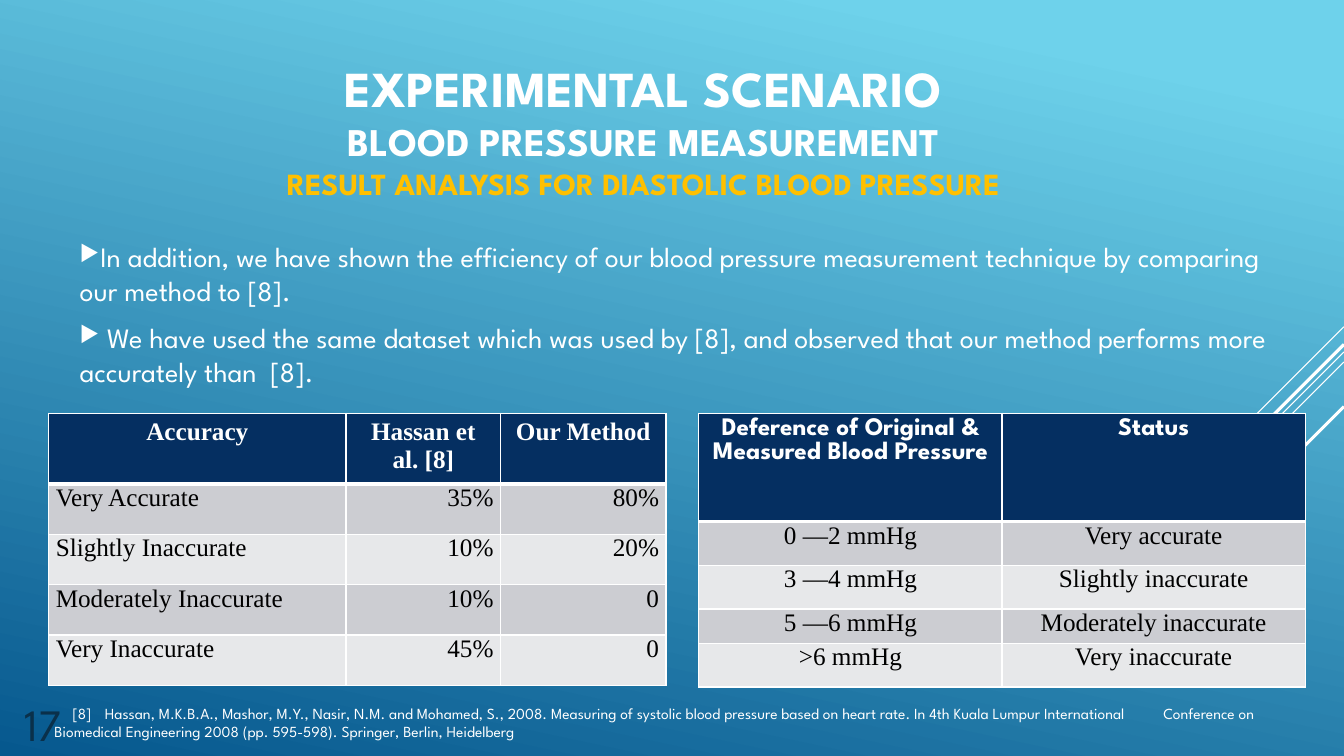
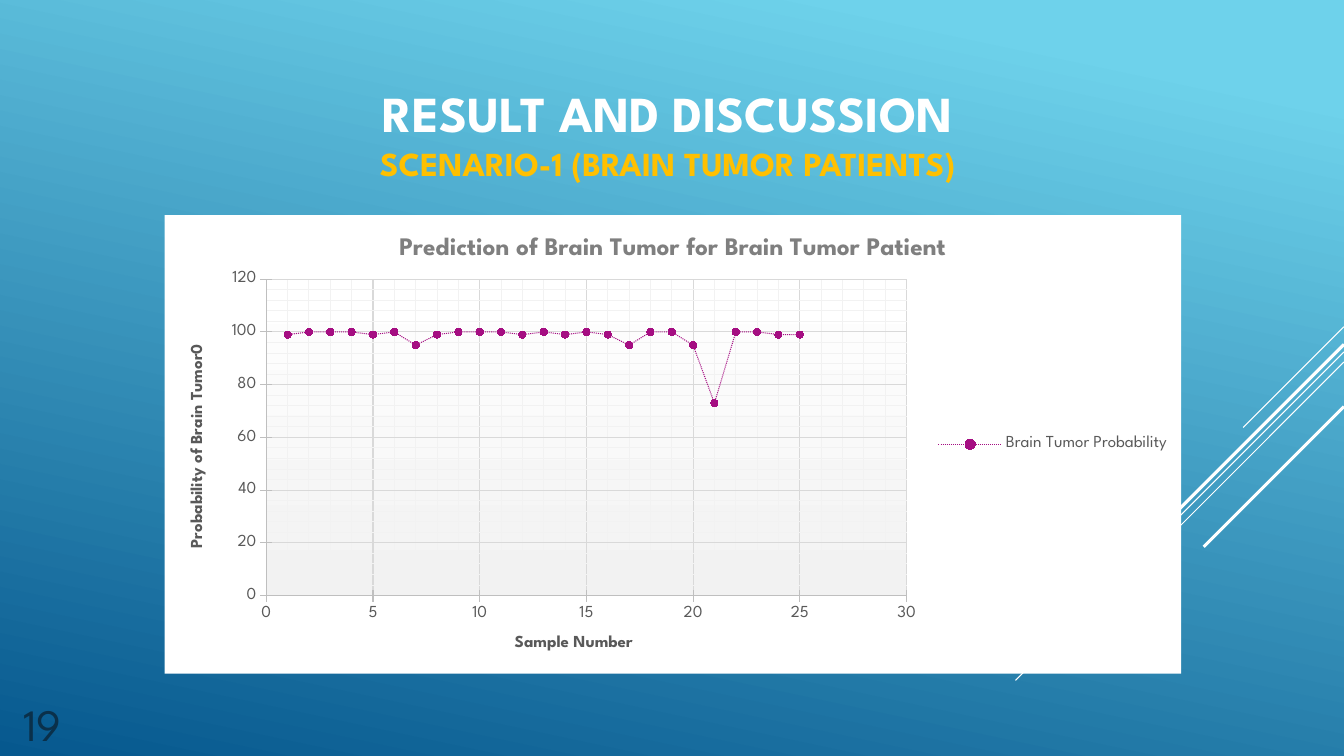
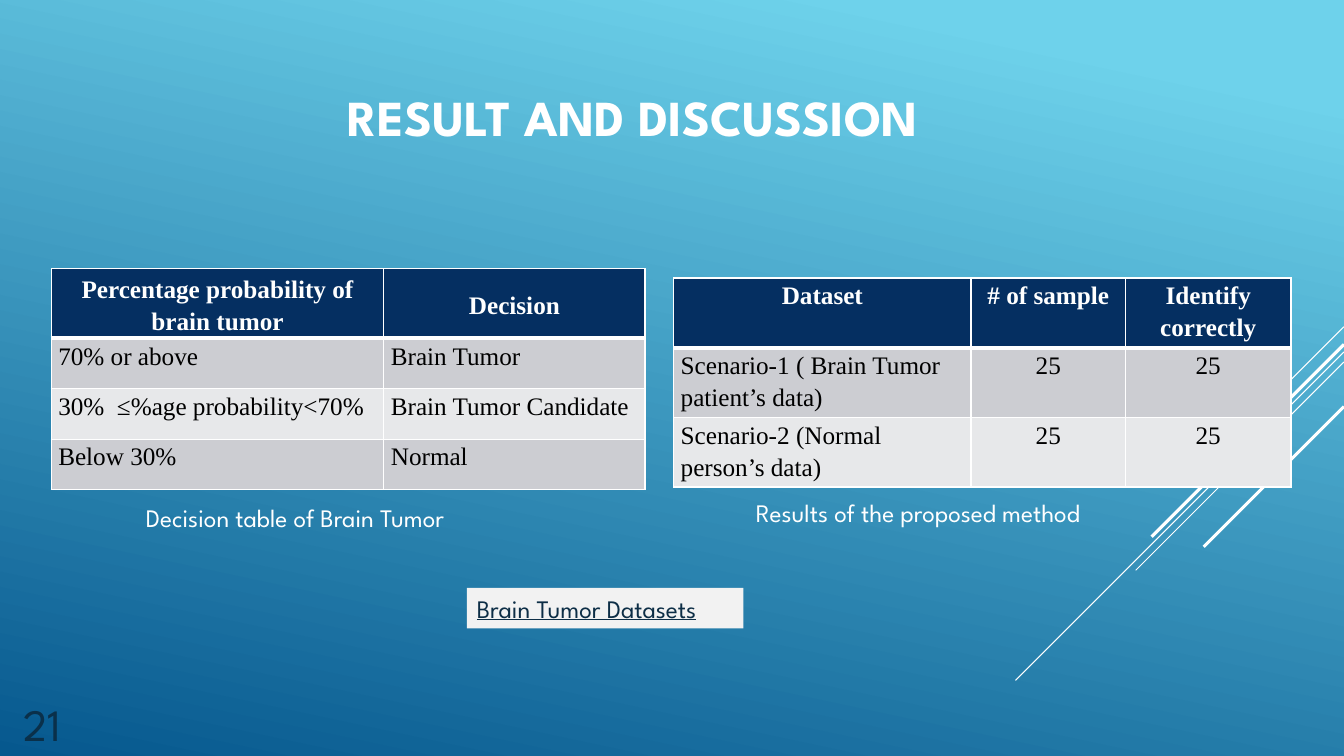
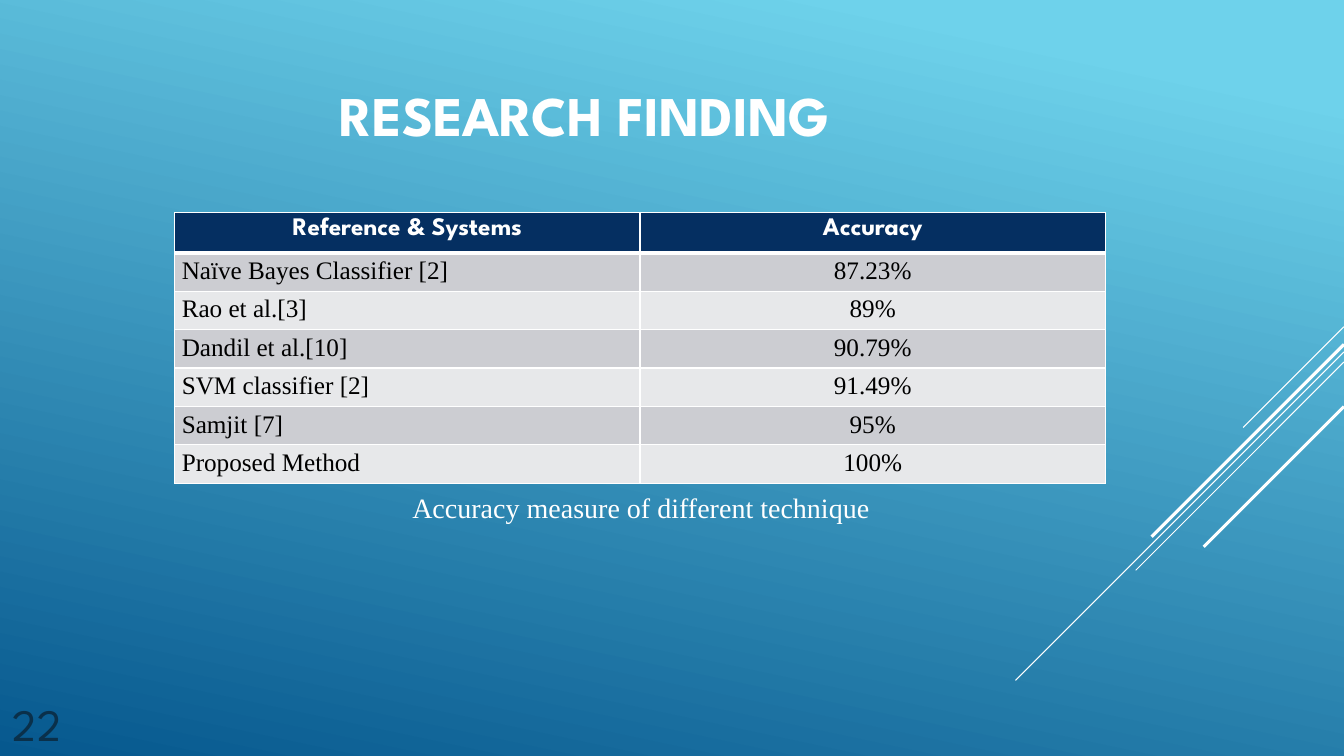
from dataclasses import dataclass, replace
from typing import NamedTuple

from pptx import Presentation
from pptx import util as u
from pptx.chart import data as cd
from pptx.dml.color import RGBColor
from pptx.enum import chart as ce, dml, shapes, text
from pptx.oxml import parse_xml
from pptx.oxml.ns import nsdecls, qn

WIDE, HIGH = u.Inches(13.333), u.Inches(7.5)
COLS, ROWS = 160, 90

WHITE = RGBColor(0xFF, 0xFF, 0xFF)
BLACK = RGBColor(0, 0, 0)
SKY = RGBColor(0x6E, 0xD2, 0xEB)
DEEP = RGBColor(0x06, 0x58, 0x8E)
NAVY = RGBColor(0x05, 0x2F, 0x61)
GOLD = RGBColor(0xFF, 0xC0, 0x00)
INK = RGBColor(0x0A, 0x30, 0x4A)
LINK = RGBColor(0x0D, 0x2E, 0x46)
PALE = RGBColor(0xF2, 0xF2, 0xF2)
BANDS = (RGBColor(0xCC, 0xCD, 0xD2), RGBColor(0xE7, 0xE8, 0xEA))
PLUM = RGBColor(0xA5, 0x0E, 0x82)
GREY = RGBColor(0x59, 0x59, 0x59)
MID = RGBColor(0x7F, 0x7F, 0x7F)
GRID = RGBColor(0xD9, 0xD9, 0xD9)
AXIS = RGBColor(0xBF, 0xBF, 0xBF)

SANS, SERIF = "League Spartan", "Times New Roman"
ALIGN = {"l": text.PP_ALIGN.LEFT, "c": text.PP_ALIGN.CENTER, "r": text.PP_ALIGN.RIGHT}
TOP, MIDDLE, LOW = text.MSO_ANCHOR.TOP, text.MSO_ANCHOR.MIDDLE, text.MSO_ANCHOR.BOTTOM


class Box(NamedTuple):
    x: float
    y: float
    w: float
    h: float


class Ray(NamedTuple):
    y: float
    run: float
    pt: float


class Line(NamedTuple):
    words: str
    size: int
    color: RGBColor = WHITE


@dataclass(frozen=True)
class Style:
    size: int = 18
    color: RGBColor = WHITE
    font: str = SANS
    bold: bool = False
    align: str = "l"
    space: float = 1.0


@dataclass(frozen=True)
class Grid:
    x: float
    y: float
    cols: tuple[float, ...]
    rows: tuple[float, ...]
    cells: tuple[tuple[str, ...], ...]
    align: str
    font: str = SERIF
    head: float = 1.0
    body: float = 1.0
    tight: bool = False
    anchor: text.MSO_ANCHOR = TOP


RAYS = (Ray(38.9, 12, 0.75), Ray(41.9, 39.1, 0.75), Ray(43.1, 24.8, 0.75),
        Ray(41, 22.9, 2.25), Ray(48.4, 16.7, 2.25))
CELL = Style(color=BLACK, font=SERIF)

METHOD = Grid(5.8, 49.2, (35.4, 18.4, 19.7), (7.8, 6, 6, 6, 6), (
    ("Accuracy", "Hassan et al. [8]", "Our Method"),
    ("Very Accurate", "35%", "80%"),
    ("Slightly Inaccurate", "10%", "20%"),
    ("Moderately Inaccurate", "10%", "0"),
    ("Very Inaccurate", "45%", "0")), "lrr")
STATUS = Grid(83.2, 49.2, (36.1, 36.1), (12.9, 5.2, 5.2, 4.1, 5.2), (
    ("Deference of Original & Measured Blood Pressure", "Status"),
    ("0 —2 mmHg", "Very accurate"),
    ("3 —4 mmHg", "Slightly inaccurate"),
    ("5 —6 mmHg", "Moderately inaccurate"),
    (">6 mmHg", "Very inaccurate")), "cc", SANS)
CHOICE = Grid(6.1, 32, (39.6, 31.1), (7.6, 6, 6, 6), (
    ("Percentage probability of\nbrain tumor", "Decision"),
    ("70% or above", "Brain Tumor"),
    ("30%  ≤%age probability<70%", "Brain Tumor Candidate"),
    ("Below 30%", "Normal")), "ll", head=1.15, body=1.15, tight=True, anchor=MIDDLE)
SCORE = Grid(80.2, 33.1, METHOD.cols, (8.3,) * 3, (
    ("Dataset", "# of sample", "Identify correctly"),
    ("Scenario-1 ( Brain Tumor patient’s data)", "25", "25"),
    ("Scenario-2 (Normal person’s data)", "25", "25")),
    "lcc", head=1.15, body=1.15, tight=True)
RIVALS = Grid(20.8, 25.3, (55.4, 55.4), (4.57,) * 7, (
    ("Reference & Systems", "Accuracy"),
    ("Naïve Bayes Classifier [2]", "87.23%"),
    ("Rao et al.[3]", "89%"),
    ("Dandil et al.[10]", "90.79%"),
    ("SVM classifier [2]", "91.49%"),
    ("Samjit [7]", "95%"),
    ("Proposed Method", "100%")), "lc", SANS, body=1.15)

ODDS = (99, 100, 100, 100, 99, 100, 95, 99, 100, 100, 100, 99, 100,
        99, 100, 99, 95, 100, 100, 95, 73, 100, 100, 99, 99)


def across(n: float) -> int:
    return round(WIDE * n / COLS)


def down(n: float) -> int:
    return round(HIGH * n / ROWS)


def place(box: Box) -> tuple[int, int, int, int]:
    return across(box.x), down(box.y), across(box.w), down(box.h)


def ink(font, style: Style) -> None:
    font.name, font.size, font.bold = style.font, u.Pt(style.size), style.bold
    font.color.rgb = style.color


def dress(frame, style: Style) -> None:
    for para in frame.paragraphs:
        para.alignment = ALIGN[style.align]
        para.line_spacing = style.space
        for run in para.runs:
            ink(run.font, style)


def write(slide, box: Box, words: str, style: Style, anchor=TOP):
    frame = slide.shapes.add_textbox(*place(box)).text_frame
    frame.word_wrap = True
    frame.vertical_anchor = anchor
    frame.text = words
    dress(frame, style)
    return frame


def title(slide, box: Box, *lines: Line):
    words = "\v".join(line.words for line in lines)
    frame = write(slide, box, "", Style(), MIDDLE)
    para = frame.paragraphs[0]
    para.text = words
    para.alignment = ALIGN["c"]
    for run, line in zip(para.runs, lines):
        ink(run.font, Style(line.size, line.color, bold=True))
    return frame


def start(deck, page: str):
    slide = deck.slides.add_slide(deck.slide_layouts[6])
    for ray in RAYS:
        line = slide.shapes.add_connector(
            shapes.MSO_CONNECTOR.STRAIGHT, across(COLS), down(ray.y),
            across(COLS - ray.run), down(ray.y + ray.run))
        line.line.color.rgb = WHITE
        line.line.width = u.Pt(ray.pt)
        line._element.spPr.append(parse_xml(f"<a:effectLst {nsdecls('a')}/>"))
    write(slide, Box(0, 82.7, 8.5, 7.2), page, Style(32, INK, align="r"), LOW)
    return slide


def edge(cell, row: int) -> None:
    props = cell._tc.get_or_add_tcPr()
    widths = {"L": 1, "R": 1, "T": 3 if row == 1 else 1, "B": 3 if row == 0 else 1}
    for at, (side, pt) in enumerate(widths.items()):
        props.insert(at, parse_xml(
            f'<a:ln{side} {nsdecls("a")} w="{u.Pt(pt)}"><a:solidFill>'
            f'<a:srgbClr val="{WHITE}"/></a:solidFill></a:ln{side}>'))


def table(slide, grid: Grid) -> None:
    box = Box(grid.x, grid.y, sum(grid.cols), sum(grid.rows))
    made = slide.shapes.add_table(len(grid.rows), len(grid.cols), *place(box)).table
    for col, wide in zip(made.columns, grid.cols):
        col.width = across(wide)
    head = Style(font=grid.font, bold=True, align="c", space=grid.head)
    for r, (high, words) in enumerate(zip(grid.rows, grid.cells)):
        made.rows[r].height = down(high)
        for c, word in enumerate(words):
            cell = made.cell(r, c)
            cell.text_frame.text = word
            cell.fill.solid()
            cell.fill.fore_color.rgb = BANDS[(r - 1) % 2] if r else NAVY
            if r or grid.tight:
                cell.margin_left = cell.margin_right = u.Inches(0.07)
                cell.margin_top = cell.margin_bottom = 0
            cell.vertical_anchor = TOP if r else grid.anchor
            dress(cell.text_frame,
                  replace(CELL, align=grid.align[c], space=grid.body) if r else head)
            edge(cell, r)


def scale(axis, name: str, top: int, major: int, minor: int) -> None:
    axis.minimum_scale, axis.maximum_scale = 0, top
    axis.major_unit, axis.minor_unit = major, minor
    axis.has_major_gridlines = axis.has_minor_gridlines = True
    axis.major_tick_mark = ce.XL_TICK_MARK.CROSS
    ink(axis.tick_labels.font, Style(12, GREY))
    for part, color in ((axis, AXIS), (axis.major_gridlines, GRID)):
        part.format.line.color.rgb = color
        part.format.line.width = u.Pt(0.75)
    axis._element.find(qn("c:minorGridlines")).append(parse_xml(
        f'<c:spPr {nsdecls("c", "a")}><a:ln w="{u.Pt(0.75)}"><a:solidFill>'
        f'<a:srgbClr val="{PALE}"/></a:solidFill></a:ln></c:spPr>'))
    axis.axis_title.text_frame.text = name
    dress(axis.axis_title.text_frame, Style(12, GREY, bold=True, align="c"))


def paint(chart) -> None:
    space = chart._chartSpace
    space.find(qn("c:txPr")).addprevious(parse_xml(
        f'<c:spPr {nsdecls("c", "a")}><a:solidFill><a:srgbClr val="{WHITE}"/>'
        '</a:solidFill><a:ln><a:noFill/></a:ln></c:spPr>'))
    plot = space.chart.plotArea
    plot.append(parse_xml(
        f'<c:spPr {nsdecls("c", "a")}><a:gradFill><a:gsLst>'
        f'<a:gs pos="0"><a:srgbClr val="{WHITE}"/></a:gs>'
        f'<a:gs pos="100000"><a:srgbClr val="{PALE}"/></a:gs></a:gsLst>'
        '<a:lin ang="5400000" scaled="0"/></a:gradFill></c:spPr>'))
    for old in plot.findall(qn("c:layout")):
        plot.remove(old)
    sides = "".join(f'<c:{key} val="{val}"/>' for key, val in (
        ("layoutTarget", "inner"), ("xMode", "edge"), ("yMode", "edge"),
        ("x", 0.1), ("y", 0.14), ("w", 0.63), ("h", 0.69)))
    plot.insert(0, parse_xml(
        f'<c:layout {nsdecls("c")}><c:manualLayout>{sides}</c:manualLayout></c:layout>'))


def graph(slide, box: Box) -> None:
    data = cd.XyChartData()
    dots = data.add_series("Brain Tumor Probability")
    for x, y in enumerate(ODDS, 1):
        dots.add_data_point(x, y)
    chart = slide.shapes.add_chart(
        ce.XL_CHART_TYPE.XY_SCATTER_LINES, *place(box), data).chart
    ink(chart.font, Style(10))
    chart.has_title = True
    chart.chart_title.text_frame.text = "Prediction of Brain Tumor for Brain Tumor Patient"
    dress(chart.chart_title.text_frame, Style(18, MID, bold=True, align="c"))
    chart.has_legend = True
    chart.legend.position = ce.XL_LEGEND_POSITION.RIGHT
    chart.legend.include_in_layout = False
    ink(chart.legend.font, Style(12, GREY))
    scale(chart.category_axis, "Sample Number", 30, 5, 1)
    scale(chart.value_axis, "Probability of Brain Tumor0", 120, 20, 4)
    chart.plots[0].vary_by_categories = False
    row = chart.plots[0].series[0]
    row.format.line.color.rgb = PLUM
    row.format.line.width = u.Pt(0.75)
    row.format.line.dash_style = dml.MSO_LINE.ROUND_DOT
    row.marker.style = ce.XL_MARKER_STYLE.CIRCLE
    row.marker.size = 5
    row.marker.format.fill.solid()
    row.marker.format.fill.fore_color.rgb = PLUM
    row.marker.format.line.color.rgb = PLUM
    paint(chart)


def bullets(slide, box: Box, *points: str) -> None:
    frame = write(slide, box, "\n".join(points), Style(20), MIDDLE)
    frame.margin_bottom = u.Inches(0.4)
    for at, para in enumerate(frame.paragraphs):
        para.space_before = u.Pt(4 if at else 0)
        para.space_after = u.Pt(6)
        props = para._p.get_or_add_pPr()
        props.set("marL", "0")
        props.set("indent", "0")
        for mark in (f'<a:buClr {nsdecls("a")}><a:srgbClr val="{WHITE}"/></a:buClr>',
                     f'<a:buSzPct {nsdecls("a")} val="80000"/>',
                     f'<a:buChar {nsdecls("a")} char="▶"/>'):
            props.append(parse_xml(mark))


def cite(slide, box: Box, words: str) -> None:
    frame = write(slide, box, words, Style(11))
    props = frame.paragraphs[0]._p.get_or_add_pPr()
    props.set("marL", "0")
    props.set("indent", str(u.Inches(0.18)))
    stops = "".join(f'<a:tab pos="{u.Inches(at)}" algn="l"/>' for at in (0.53, 11))
    props.append(parse_xml(f'<a:tabLst {nsdecls("a")}>{stops}</a:tabLst>'))


def button(slide, box: Box, words: str) -> None:
    shape = slide.shapes.add_shape(shapes.MSO_SHAPE.RECTANGLE, *place(box))
    shape.shadow.inherit = False
    shape.fill.solid()
    shape.fill.fore_color.rgb = PALE
    shape.line.fill.background()
    shape.text_frame.text = words
    dress(shape.text_frame, Style(color=LINK))
    shape.text_frame.paragraphs[0].runs[0].font.underline = True


def pressure(deck) -> None:
    slide = start(deck, "17")
    title(slide, Box(20.6, 5.5, 112, 19.8), Line("EXPERIMENTAL SCENARIO", 36),
          Line("BLOOD PRESSURE MEASUREMENT", 28),
          Line("RESULT ANALYSIS FOR DIASTOLIC BLOOD PRESSURE", 22, GOLD))
    bullets(slide, Box(8.3, 25.6, 143.9, 27.7),
            "In addition, we have shown the efficiency of our blood pressure measurement "
            "technique by comparing our method to [8].",
            " We have used the same dataset which was used by [8], and observed that our "
            "method performs more accurately than  [8].")
    table(slide, STATUS)
    table(slide, METHOD)
    cite(slide, Box(5.3, 83.2, 149.5, 5.6),
         "[8]\tHassan, M.K.B.A., Mashor, M.Y., Nasir, N.M. and Mohamed, S., 2008. "
         "Measuring of systolic blood pressure based on heart rate. In 4th Kuala Lumpur "
         "International\tConference on Biomedical Engineering 2008 (pp. 595-598). "
         "Springer, Berlin, Heidelberg")


def tumor(deck) -> None:
    slide = start(deck, "19")
    graph(slide, Box(19.6, 25.6, 121, 54.6))
    title(slide, Box(18.4, 5.9, 122.2, 19.8), Line("RESULT AND DISCUSSION", 36),
          Line("SCENARIO-1 (BRAIN TUMOR PATIENTS)", 24, GOLD))


def result(deck) -> None:
    slide = start(deck, "21")
    frame = title(slide, Box(19.4, 5.9, 112, 19.8), Line("RESULT AND DISCUSSION", 36))
    frame.margin_bottom = u.Inches(0.38)
    table(slide, CHOICE)
    write(slide, Box(16.2, 59.2, 44.9, 4.8), "Decision table of Brain Tumor", Style())
    table(slide, SCORE)
    write(slide, Box(88.8, 58.6, 49.6, 4.8), "Results of the proposed method",
          Style(), MIDDLE)
    button(slide, Box(55.6, 70, 32.9, 4.8), "Brain Tumor Datasets")


def finding(deck) -> None:
    slide = start(deck, "22")
    title(slide, Box(13.6, 3.7, 112, 19.8), Line("RESEARCH FINDING", 40))
    table(slide, RIVALS)
    write(slide, Box(47.9, 57.8, 56.9, 5.3), "Accuracy measure of different technique",
          Style(20, font=SERIF), MIDDLE)


def main() -> None:
    deck = Presentation()
    deck.slide_width, deck.slide_height = WIDE, HIGH
    fill = deck.slide_master.background.fill
    fill.gradient()
    fill.gradient_angle = 258
    for stop, color, at in zip(fill.gradient_stops, (SKY, DEEP), (0.1, 1)):
        stop.color.rgb = color
        stop.position = at
    for build in (pressure, tumor, result, finding):
        build(deck)
    deck.save("out.pptx")


if __name__ == "__main__":
    main()
